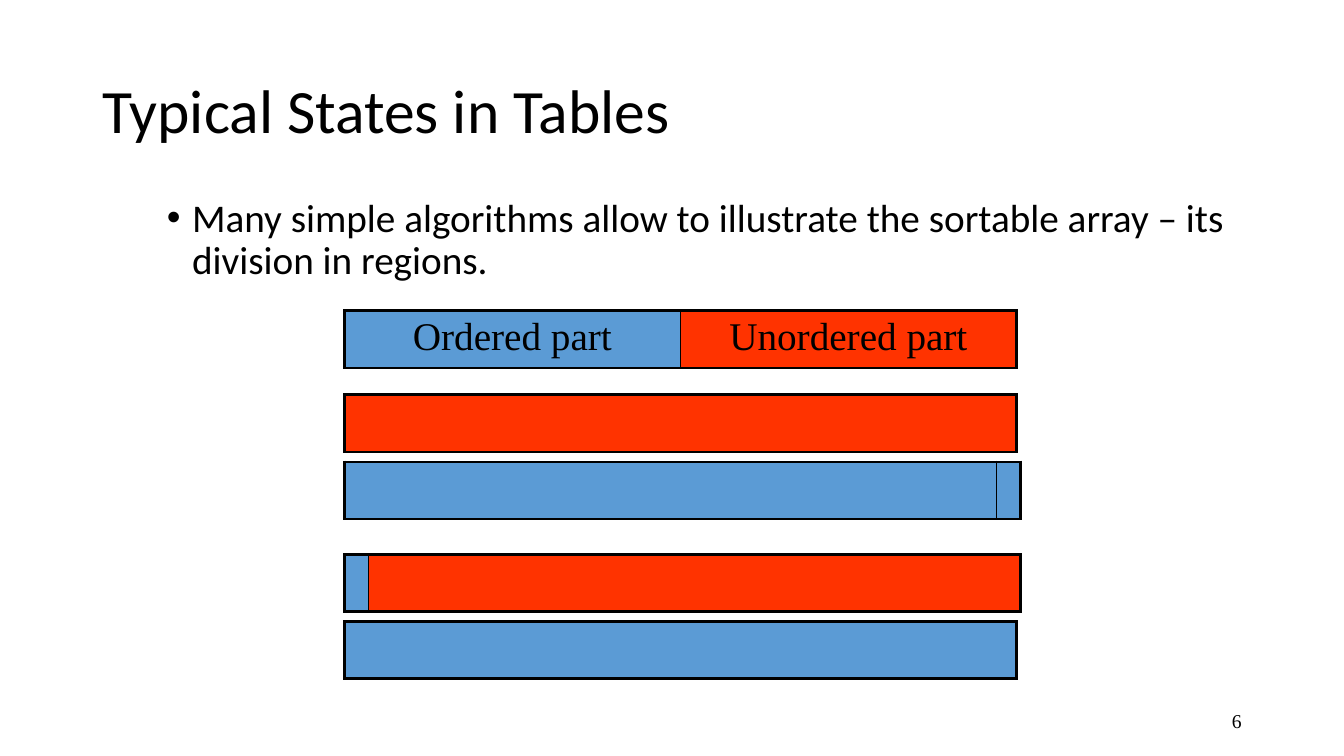
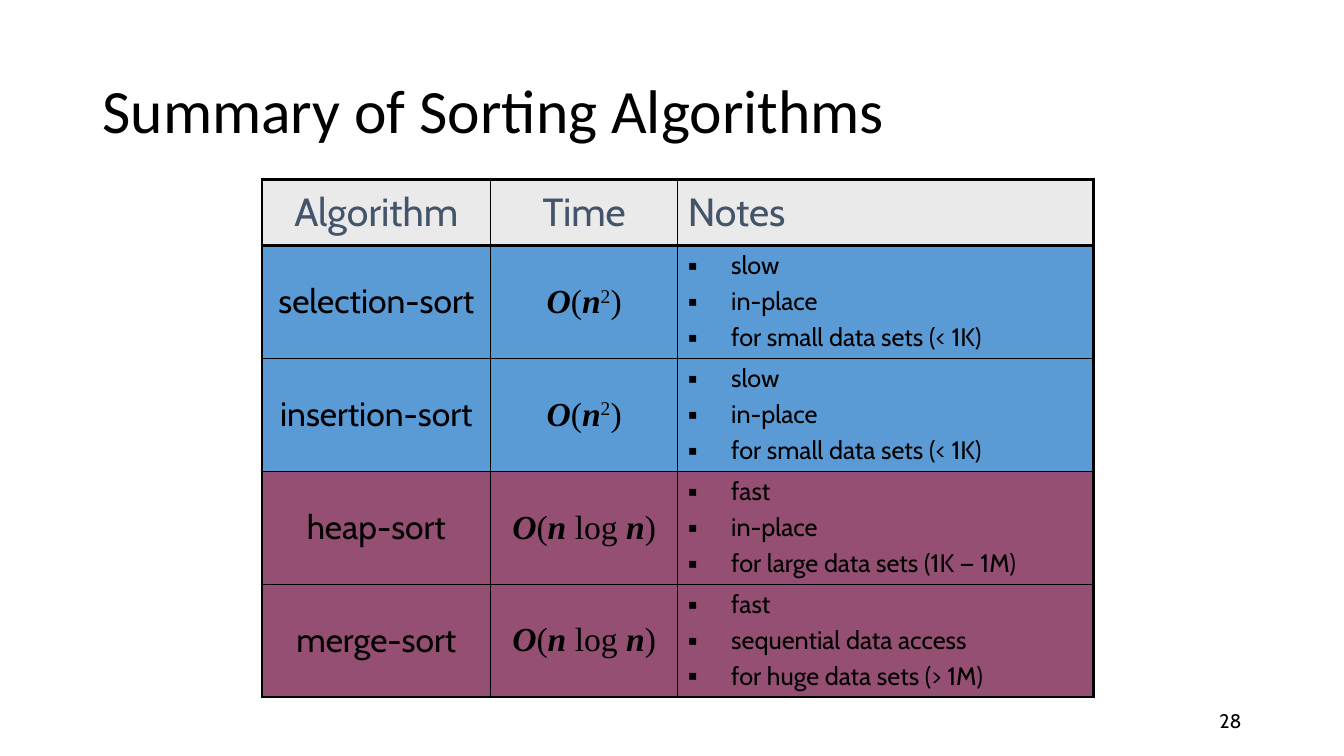
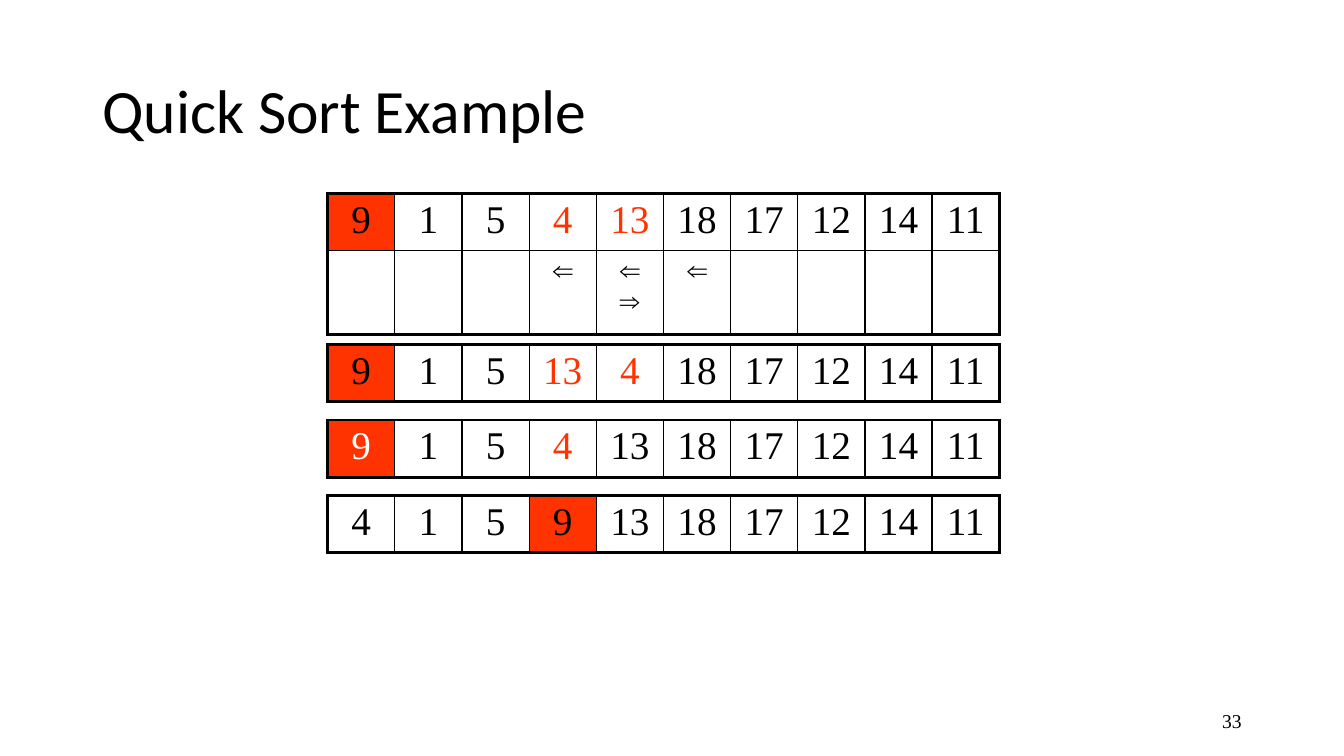
from dataclasses import dataclass

from lxml import etree
from pptx import Presentation
from pptx import util as u
from pptx.dml.color import RGBColor
from pptx.enum import text
from pptx.oxml.ns import qn


@dataclass(frozen=True)
class Theme:
    black: str = "000000"
    white: str = "FFFFFF"
    blue: str = "5B9BD5"
    red: str = "FF3300"
    plum: str = "954F72"
    grey: str = "EAEAEA"
    slate: str = "44546A"
    sans: str = "Calibri"
    serif: str = "Times New Roman"
    label: str = "Cabin"
    title: int = 44
    large: int = 28
    medium: int = 24
    arrow: int = 20
    small: int = 18
    number: int = 14
    thin: float = 1
    thick: float = 2.25


T = Theme()
GRID_COLS, GRID_ROWS = 160, 90
BAR = 6.8
ALIGN = text.PP_ALIGN


@dataclass
class Cell:
    lines: tuple = ()
    fill: str = ""
    color: str = T.black
    size: int = T.large
    font: str = T.serif
    bold: bool = False
    align: int = ALIGN.CENTER
    bullet: bool = False
    middle: bool = False


class Deck:
    def __init__(self):
        self.prs = Presentation()
        self.prs.slide_width, self.prs.slide_height = u.Inches(13.33), u.Inches(7.5)
        self.slide = None

    def x(self, cols):
        return round(self.prs.slide_width * cols / GRID_COLS)

    def y(self, rows):
        return round(self.prs.slide_height * rows / GRID_ROWS)

    def box(self, left, top, width, height):
        return self.x(left), self.y(top), self.x(width), self.y(height)

    def style(self, p, font, size, color=T.black, align=ALIGN.LEFT):
        p.font.name, p.font.size = font, u.Pt(size)
        p.font.color.rgb = RGBColor.from_string(color)
        p.alignment = align

    def bullet(self, p, char, indent, percent=100):
        pPr = p._p.get_or_add_pPr()
        pPr.set("marL", str(u.Inches(indent)))
        pPr.set("indent", str(-u.Inches(indent)))
        parts = (
            ("buSzPct", {"val": str(percent * 1000)}),
            ("buFont", {"typeface": "Arial"}),
            ("buChar", {"char": char}),
        )
        for at, (tag, attrs) in enumerate(parts):
            mark = etree.Element(qn(f"a:{tag}"), attrs)
            pPr.insert(len(pPr.findall(qn("a:lnSpc")) + pPr.findall(qn("a:spcBef"))) + at, mark)

    def start(self, title, number, number_font=T.serif):
        self.slide = self.prs.slides.add_slide(self.prs.slide_layouts[5])
        sp = self.slide.shapes.title
        sp.left, sp.top, sp.width, sp.height = self.box(11, 4.8, 138, 17.4)
        tf = sp.text_frame
        tf.text = title
        tf.auto_size = text.MSO_AUTO_SIZE.NONE
        tf.vertical_anchor = text.MSO_ANCHOR.MIDDLE
        tf.paragraphs[0].line_spacing = 0.9
        self.style(tf.paragraphs[0], T.sans, T.title)
        tf = self.text_box(113, 83.4, 36, 4.8, str(number))
        tf.vertical_anchor = text.MSO_ANCHOR.MIDDLE
        self.style(tf.paragraphs[0], number_font, T.number, align=ALIGN.RIGHT)

    def text_box(self, left, top, width, height, words):
        tf = self.slide.shapes.add_textbox(*self.box(left, top, width, height)).text_frame
        tf.word_wrap = True
        tf.text = words
        return tf

    def body(self, words):
        p = self.text_box(18.7, 23, 133.3, 12.8, words).paragraphs[0]
        self.style(p, T.sans, T.large)
        p.line_spacing, p.space_before = 0.9, u.Pt(10)
        self.bullet(p, "•", 0.25)

    def table(self, left, top, widths, heights, cells, header=False):
        frame = self.slide.shapes.add_table(
            len(heights), len(widths), *self.box(left, top, sum(widths), sum(heights)))
        table = frame.table
        table.first_row = table.horz_banding = False
        for col, width in zip(table.columns, widths):
            col.width = self.x(width)
        for row, height in zip(table.rows, heights):
            row.height = self.y(height)
        last_row, last_col = len(heights) - 1, len(widths) - 1
        for r, line in enumerate(cells):
            for c, spec in enumerate(line):
                cell = table.cell(r, c)
                self.borders(cell, {
                    "lnL": c == 0,
                    "lnR": c == last_col,
                    "lnT": r == 0 or (header and r == 1),
                    "lnB": r == last_row or (header and r == 0),
                })
                self.fill_cell(cell, spec)

    def borders(self, cell, sides):
        tcPr = cell._tc.get_or_add_tcPr()
        for side, strong in sides.items():
            width = u.Pt(T.thick if strong else T.thin)
            ln = etree.SubElement(tcPr, qn(f"a:{side}"), w=str(width))
            fill = etree.SubElement(ln, qn("a:solidFill"))
            etree.SubElement(fill, qn("a:srgbClr"), val=T.black)

    def fill_cell(self, cell, spec):
        if spec.fill:
            cell.fill.solid()
            cell.fill.fore_color.rgb = RGBColor.from_string(spec.fill)
        else:
            cell.fill.background()
        if spec.middle:
            cell.vertical_anchor = text.MSO_ANCHOR.MIDDLE
        tf = cell.text_frame
        for i, line in enumerate(spec.lines):
            p = tf.add_paragraph() if i else tf.paragraphs[0]
            self.style(p, spec.font, spec.size, spec.color, spec.align)
            if spec.bold:
                p.font.bold = True
            space = etree.Element(qn("a:spcBef"))
            etree.SubElement(space, qn("a:spcPct"), val="20000")
            p._p.get_or_add_pPr().insert(0, space)
            if spec.bullet:
                self.bullet(p, "▪", 0.43, 110)
            for words, kind in [(line, "")] if isinstance(line, str) else line:
                r = p.add_run()
                r.text = words
                if kind == "variable":
                    r.font.bold = r.font.italic = True
                elif kind == "power":
                    r.font._element.set("baseline", "30000")

    def bar(self, top, *parts):
        self.table(41, top, [width for width, _ in parts], [BAR], [[cell for _, cell in parts]])

    def array(self, top, values, pivot, marked=(), pivot_color=T.black, arrows=None):
        numbers = []
        for i, value in enumerate(values):
            color = pivot_color if i == pivot else T.red if i in marked else T.black
            numbers.append(Cell((str(value),), T.red if i == pivot else "", color))
        cells, heights = [numbers], [BAR]
        if arrows:
            cells.append([Cell((arrows[i],), size=T.arrow, bold=True) if i in arrows else Cell()
                          for i in range(len(values))])
            heights.append(10)
        self.table(39, top, [8] * len(values), heights, cells)


def states(deck):
    deck.start("Typical States in Tables", 6)
    deck.body("Many simple algorithms allow to illustrate the sortable array – "
              "its division in regions.")
    ordered, unordered = Cell(fill=T.blue), Cell(fill=T.red)
    deck.bar(37, (40, Cell(("Ordered part",), T.blue)), (40, Cell(("Unordered part",), T.red)))
    deck.bar(47, (80, unordered))
    deck.bar(55, (77.6, ordered), (2.8, ordered))
    deck.bar(66, (2.8, ordered), (77.6, unordered))
    deck.bar(74, (80, ordered))


def summary(deck):
    deck.start("Summary of Sorting Algorithms", 28, T.label)
    square = [("O", "variable"), ("(", ""), ("n", "variable"), ("2", "power"), (")", "")]
    n_log_n = [("O", "variable"), ("(", ""), ("n", "variable"), (" log ", ""),
               ("n", "variable"), (")", "")]
    small = ("slow", "in-place", "for small data sets (< 1K)")
    rows = [
        ("selection-sort", square, T.blue, small),
        ("insertion-sort", square, T.blue, small),
        ("heap-sort", n_log_n, T.plum, ("fast", "in-place", "for large data sets (1K — 1M)")),
        ("merge-sort", n_log_n, T.plum,
         ("fast", "sequential data access", "for huge data sets (> 1M)")),
    ]
    heads = (("Algorithm", ALIGN.CENTER), ("Time", ALIGN.CENTER), ("Notes", ALIGN.LEFT))
    cells = [[Cell((name,), T.grey, T.slate, font=T.label, align=align, middle=True)
              for name, align in heads]]
    for name, time, fill, notes in rows:
        cells.append([
            Cell((name,), fill, size=T.medium, font=T.label, middle=True),
            Cell((time,), fill, size=T.medium, middle=True),
            Cell(notes, fill, size=T.small, font=T.label, align=ALIGN.LEFT,
                 bullet=True, middle=True),
        ])
    deck.table(31.2, 21.4, [27.2, 22.3, 49.5], [7.8] + [13.45] * len(rows), cells, header=True)


def quick_sort(deck):
    deck.start("Quick Sort Example", 33)
    tail = [18, 17, 12, 14, 11]
    deck.array(23, [9, 1, 5, 4, 13] + tail, 0, (3, 4), arrows={3: "⇐", 4: "⇐ ⇒", 5: "⇐"})
    deck.array(41, [9, 1, 5, 13, 4] + tail, 0, (3, 4))
    deck.array(50, [9, 1, 5, 4, 13] + tail, 0, (3,), T.white)
    deck.array(59, [4, 1, 5, 9, 13] + tail, 3)


def main():
    deck = Deck()
    for build in (states, summary, quick_sort):
        build(deck)
    deck.prs.save("out.pptx")


if __name__ == "__main__":
    main()
